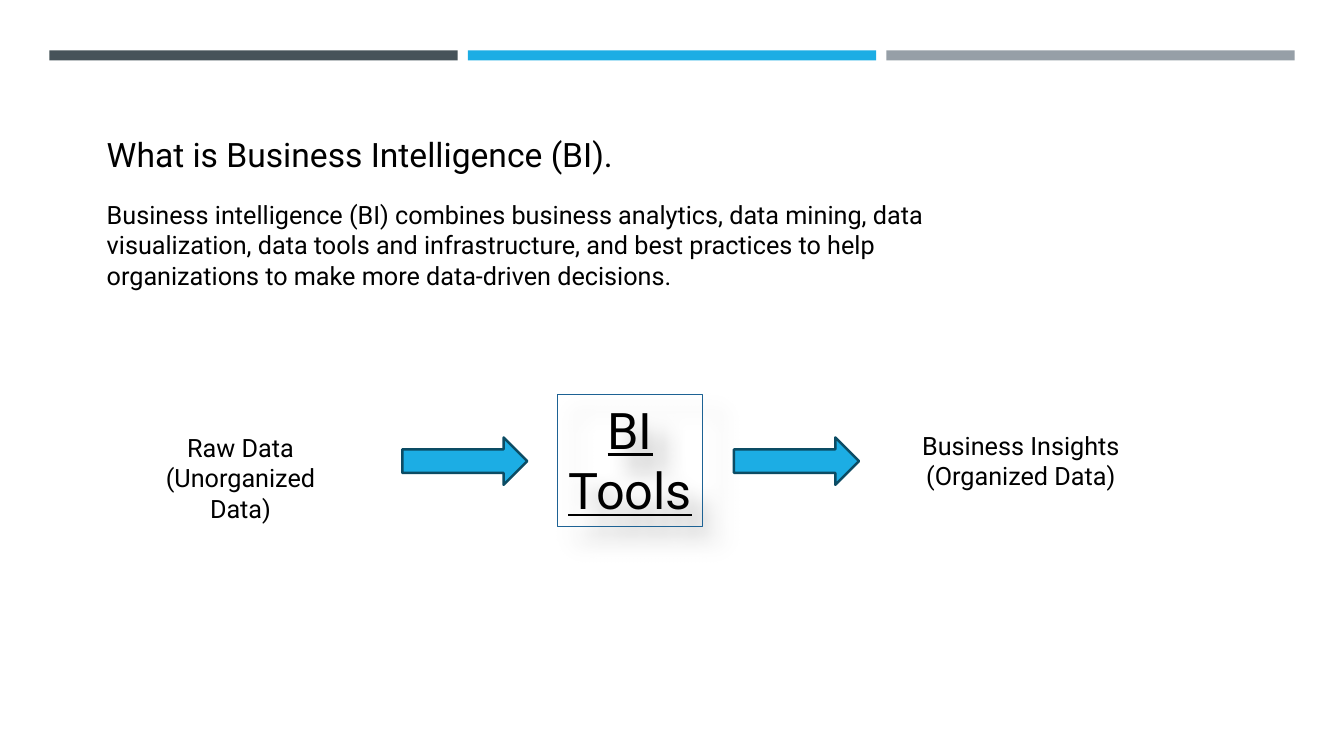
from lxml.etree import SubElement
from pptx import Presentation
from pptx.dml.color import RGBColor
from pptx.enum.shapes import MSO_SHAPE
from pptx.enum.text import MSO_ANCHOR, PP_ALIGN
from pptx.oxml.ns import qn
from pptx.util import Inches, Pt

COLORS = {
    "slate": "465359",
    "blue": "1CADE4",
    "gray": "969FA7",
    "black": "000000",
    "arrow_line": "0C4C64",
    "tools_line": "1D6294",
}
FONT = "Roboto"


def color(name):
    return RGBColor.from_string(COLORS[name])


def write_text(shape, lines, size=18, align=PP_ALIGN.LEFT, underline=False):
    frame = shape.text_frame
    frame.word_wrap = True
    frame.vertical_anchor = MSO_ANCHOR.TOP
    for index, line in enumerate(lines):
        para = frame.add_paragraph() if index else frame.paragraphs[0]
        para.alignment = align
        span = para.add_run()
        span.text = line
        span.font.name = FONT
        span.font.size = Pt(size)
        span.font.underline = underline
        span.font.color.rgb = color("black")


def add_text(page, box, lines, **text_format):
    shape = page.shapes.add_textbox(*map(Inches, box))
    write_text(shape, lines, **text_format)


def add_box(page, kind, box, fill=None, line=None, line_width=1):
    shape = page.shapes.add_shape(kind, *map(Inches, box))
    shape.shadow.inherit = False
    if fill:
        shape.fill.solid()
        shape.fill.fore_color.rgb = color(fill)
    else:
        shape.fill.background()
    if line:
        shape.line.color.rgb = color(line)
        shape.line.width = Pt(line_width)
    else:
        shape.line.fill.background()
    return shape


def add_shadow(shape, blur, distance, angle, opacity):
    effects = shape._element.spPr.find(qn("a:effectLst"))
    shadow = SubElement(effects, qn("a:outerShdw"), {
        "blurRad": str(Pt(blur)),
        "dist": str(Pt(distance)),
        "dir": str(angle * 60000),
        "algn": "tl",
        "rotWithShape": "0",
    })
    tint = SubElement(shadow, qn("a:srgbClr"), val=COLORS["black"])
    SubElement(tint, qn("a:alpha"), val=str(opacity * 1000))


def add_header_bars(page, box):
    left, top, width, height = box
    gap = 0.1
    bar_width = (width - 2 * gap) / 3
    for index, fill in enumerate(("slate", "blue", "gray")):
        bar_left = left + index * (bar_width + gap)
        add_box(page, MSO_SHAPE.RECTANGLE, (bar_left, top, bar_width, height), fill)


def add_definition(page, box):
    left, top, width, height = box
    add_text(page, (left, top, 8.12, 0.5), ["What is Business Intelligence (BI)."], size=24)
    add_text(page, (left, top + 0.65, width, height - 0.65), [
        "Business intelligence (BI) combines business analytics, data mining, data "
        "visualization, data tools and infrastructure, and best practices to help "
        "organizations to make more data-driven decisions."])


def add_process(page, box):
    left, top, width, height = box
    label_width, label_height = 2.29, 0.71

    # Input and output labels at the two ends
    add_text(page, (left, top + 0.33, label_width, label_height),
             ["Raw Data", "(Unorganized Data)"], align=PP_ALIGN.CENTER)
    add_text(page, (left + width - label_width, top + 0.31, label_width, label_height),
             ["Business Insights", "(Organized Data)"], align=PP_ALIGN.CENTER)

    # Tools box
    tools = add_box(page, MSO_SHAPE.RECTANGLE, (left + 4.29, top, 1.44, height),
                    line="tools_line", line_width=0.75)
    add_shadow(tools, blur=15, distance=18, angle=45, opacity=30)
    write_text(tools, ["BI Tools"], size=36, align=PP_ALIGN.CENTER, underline=True)

    # Arrows into and out of the tools box
    for offset in (2.75, 6.04):
        add_box(page, MSO_SHAPE.RIGHT_ARROW, (left + offset, top + 0.43, 1.24, 0.47),
                "blue", "arrow_line", 1.75)


def main():
    deck = Presentation()
    deck.slide_width, deck.slide_height = Inches(13.33), Inches(7.5)
    page = deck.slides.add_slide(deck.slide_layouts[6])
    add_header_bars(page, (0.49, 0.5, 12.35, 0.1))
    add_definition(page, (0.96, 1.28, 9.38, 1.66))
    add_process(page, (1.24, 3.91, 10.03, 1.31))
    deck.save("out.pptx")


if __name__ == "__main__":
    main()
